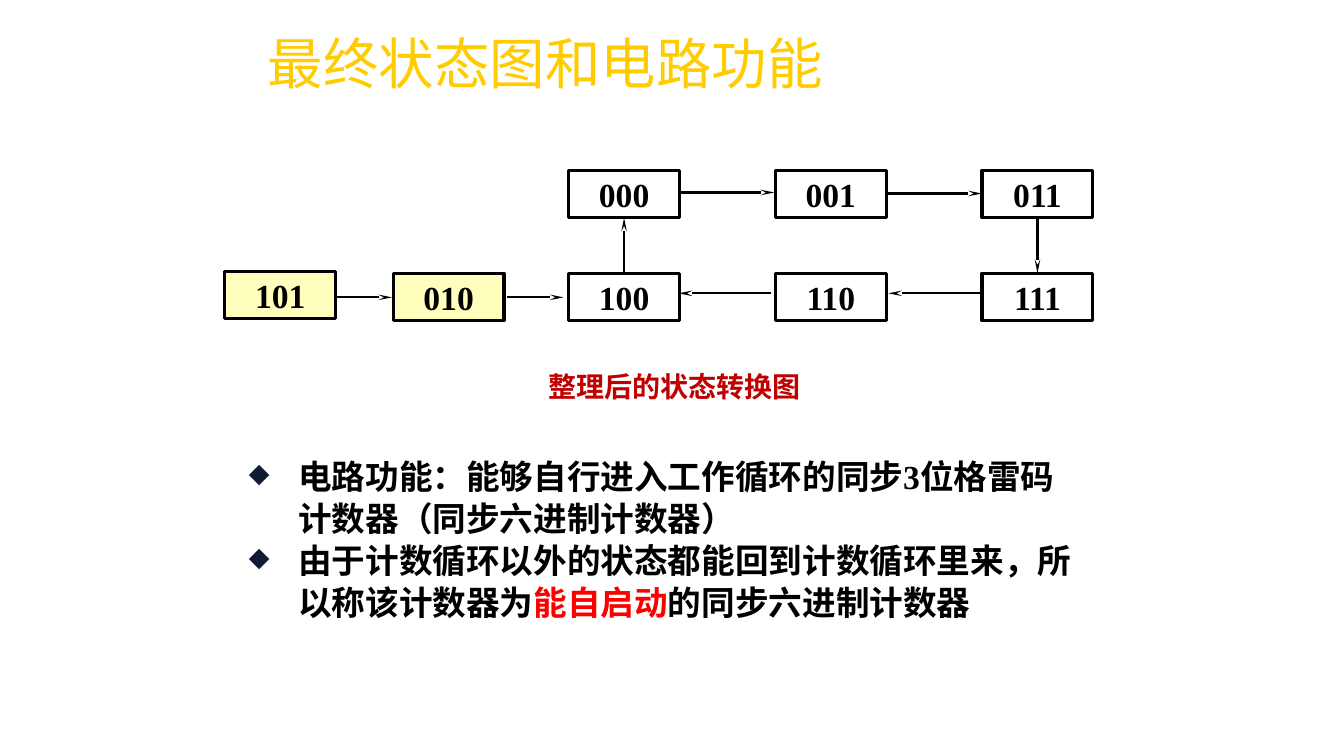
"""Build the slide showing the final state diagram and circuit function."""
from lxml.etree import SubElement
from pptx import Presentation
from pptx.dml.color import RGBColor
from pptx.enum.shapes import MSO_CONNECTOR as Link, MSO_SHAPE as Shape
from pptx.enum.text import MSO_ANCHOR as Anchor, PP_ALIGN as Align
from pptx.oxml.ns import qn
from pptx.util import Pt

PX = 9144
BLACK = RGBColor(0x00, 0x00, 0x00)
GOLD = RGBColor(0xFF, 0xCC, 0x00)
DARK_RED = RGBColor(0xC0, 0x00, 0x00)
RED = RGBColor(0xFF, 0x00, 0x00)
CREAM = RGBColor(0xFF, 0xFF, 0xBD)
NAVY = RGBColor(0x10, 0x1C, 0x32)

TITLE = "最终状态图和电路功能"
CAPTION = "整理后的状态转换图"
POINTS = [
    [("电路功能：能够自行进入工作循环的同步3位格雷码计数器（同步六进制计数器）", BLACK)],
    [("由于计数循环以外的状态都能回到计数循环里来，所以称该计数器为", BLACK),
     ("能自启动", RED), ("的同步六进制计数器", BLACK)],
]
LOOP = [["000", "001", "011"], ["100", "110", "111"]]
ENTRY = [("101", 223, 269), ("010", 390, 271)]
LOOP_LEFT, LOOP_TOP, COLUMN_STEP, ROW_STEP = 564, 169, 205, 102
STATE_WIDTH, STATE_HEIGHT = 110, 47
ARROWS = [
    (673, 191, 768, 191), (879, 192, 974, 192), (1029, 216, 1029, 271),
    (973, 291, 881, 291), (765, 291, 673, 291), (619, 271, 619, 216),
    (332, 295, 389, 295), (503, 295, 559, 295),
]
TITLE_FONT = {"name": "Arial", "size": Pt(39.6)}
CAPTION_FONT = {"name": "Times New Roman", "size": Pt(20), "bold": True}
BODY_FONT = {**CAPTION_FONT, "size": Pt(24)}


def add_span(para, text, color, font):
    span = para.add_run()
    span.text = text
    for key, value in font.items():
        setattr(span.font, key, value)
    span.font.color.rgb = color


def add_text_box(page, left, top, width, height):
    box = page.shapes.add_textbox(left * PX, top * PX, width * PX, height * PX)
    box.text_frame.word_wrap = True
    return box.text_frame


def add_state(page, code, left, top, fill=None):
    state = page.shapes.add_shape(
        Shape.RECTANGLE, left * PX, top * PX, STATE_WIDTH * PX, STATE_HEIGHT * PX)
    state.shadow.inherit = False
    if fill is None:
        state.fill.background()
    else:
        state.fill.solid()
        state.fill.fore_color.rgb = fill
    state.line.color.rgb = BLACK
    state.line.width = Pt(2.25)
    frame = state.text_frame
    frame.word_wrap = False
    frame.vertical_anchor = Anchor.MIDDLE
    para = frame.paragraphs[0]
    para.alignment = Align.CENTER
    add_span(para, code, BLACK, BODY_FONT)


def add_arrow(page, *ends):
    arrow = page.shapes.add_connector(Link.STRAIGHT, *(end * PX for end in ends))
    arrow.line.color.rgb = BLACK
    arrow.line.width = Pt(1.5)
    SubElement(arrow.line._get_or_add_ln(), qn("a:tailEnd"), type="stealth", w="sm", len="lg")
    SubElement(arrow._element.spPr, qn("a:effectLst"))


def add_bullet(para):
    properties = para._p.get_or_add_pPr()
    properties.set("marL", str(49 * PX))
    properties.set("indent", str(-49 * PX))
    color = SubElement(properties, qn("a:buClr"))
    SubElement(color, qn("a:srgbClr"), val=str(NAVY))
    SubElement(properties, qn("a:buSzPct"), val="80000")
    SubElement(properties, qn("a:buChar"), char="◆")


def main():
    deck = Presentation()
    deck.slide_width, deck.slide_height = 1333 * PX, 750 * PX
    page = deck.slides.add_slide(deck.slide_layouts[6])

    frame = add_text_box(page, 256, 33, 1000, 67)
    frame.vertical_anchor = Anchor.MIDDLE
    frame.paragraphs[0].line_spacing = 0.9
    add_span(frame.paragraphs[0], TITLE, GOLD, TITLE_FONT)

    frame = add_text_box(page, 505, 362, 328, 44)
    frame.paragraphs[0].alignment = Align.CENTER
    add_span(frame.paragraphs[0], CAPTION, DARK_RED, CAPTION_FONT)

    frame = add_text_box(page, 237, 446, 847, 178)
    for index, point in enumerate(POINTS):
        para = frame.add_paragraph() if index else frame.paragraphs[0]
        add_bullet(para)
        para.line_spacing = Pt(30)
        for text, color in point:
            add_span(para, text, color, BODY_FONT)

    for row, codes in enumerate(LOOP):
        for column, code in enumerate(codes):
            add_state(page, code, LOOP_LEFT + column * COLUMN_STEP, LOOP_TOP + row * ROW_STEP)
    for code, left, top in ENTRY:
        add_state(page, code, left, top, CREAM)
    for ends in ARROWS:
        add_arrow(page, *ends)

    deck.save("out.pptx")


if __name__ == "__main__":
    main()
